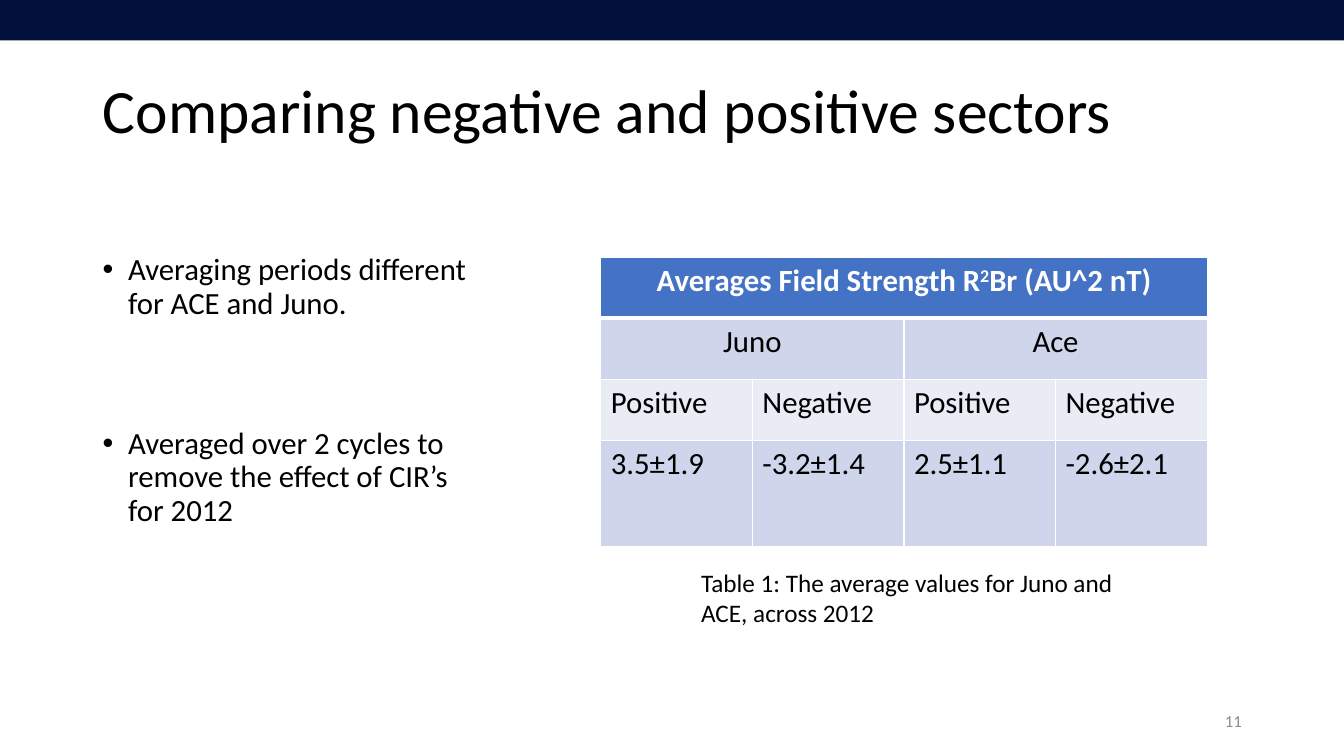
from pptx import Presentation, util as u
from pptx.dml.color import RGBColor
from pptx.enum import shapes, text
from pptx.oxml import parse_xml
from pptx.oxml.ns import nsdecls

TITLE = "Comparing negative and positive sectors"
POINTS = [
    "Averaging periods different for ACE and Juno.",
    "Averaged over 2 cycles to remove the effect of CIR’s for 2012",
]
HEADING = [("Averages Field Strength R", False), ("2", True), ("Br (AU^2 nT)", False)]
# Each row lists (runs, columns spanned); a run is (words, superscript).
SPACECRAFT = ["Juno", "Ace"]
SECTORS = ["Positive", "Negative"] * len(SPACECRAFT)
AVERAGES = ["3.5±1.9", "-3.2±1.4", "2.5±1.1", "-2.6±2.1"]
ROWS = [
    [(HEADING, 4)],
    [([(name, False)], 2) for name in SPACECRAFT],
    [([(sector, False)], 1) for sector in SECTORS],
    [([(average, False)], 1) for average in AVERAGES],
]
CAPTION = "Table 1: The average values for Juno and ACE, across 2012"
PAGE = "11"

THEME = {
    "font": "Calibri",
    "black": "000000", "white": "FFFFFF", "grey": "8C8C8C", "navy": "01103B",
    "rows": ["4472C4", "CFD5EA", "E9EBF5", "CFD5EA"],
    "title": 44, "body": 22, "caption": 18, "page": 12,
}
WIDTH, HEIGHT = u.Cm(33.87), u.Cm(19.05)
COLUMN_WIDTH = u.Cm(3.82)
ROW_HEIGHTS = [u.Cm(h) for h in (1.54, 1.54, 1.54, 2.67)]
POINT_GAP = u.Pt(76.5)


def box(*lengths):
    return [u.Cm(length) for length in lengths]


def assign(target, values):
    for name, value in values.items():
        setattr(target, name, value)


def write(paragraph, words, size, color="black", bold=False):
    run = paragraph.add_run()
    run.text = words
    assign(run.font, {"name": THEME["font"], "size": u.Pt(THEME[size]), "bold": bold})
    run.font.color.rgb = RGBColor.from_string(THEME[color])
    return run


def add_text(slide, place, **frame_format):
    frame = slide.shapes.add_textbox(*place).text_frame
    assign(frame, {"word_wrap": True, **frame_format})
    return frame


def add_bullet(paragraph):
    properties = paragraph._p.get_or_add_pPr()
    properties.set("marL", str(u.Cm(0.64)))
    properties.set("indent", str(-u.Cm(0.64)))
    for child in ('buFont {} typeface="Arial"', 'buChar {} char="•"'):
        properties.append(parse_xml("<a:" + child.format(nsdecls("a")) + "/>"))


def add_borders(cell, bottom, top):
    """Draw white borders; bottom and top are line widths in points."""
    widths = {"L": 1, "R": 1, "T": top, "B": bottom}
    for position, (side, width) in enumerate(widths.items()):
        cell._tc.get_or_add_tcPr().insert(position, parse_xml(
            f'<a:ln{side} {nsdecls("a")} w="{u.Pt(width)}"><a:solidFill>'
            f'<a:srgbClr val="{THEME["white"]}"/></a:solidFill></a:ln{side}>'))


def add_title(slide):
    title = slide.shapes.title
    assign(title, dict(zip(("left", "top", "width", "height"), box(2.34, 1.02, 29.21, 3.68))))
    assign(title.text_frame, {"vertical_anchor": text.MSO_ANCHOR.MIDDLE,
                              "auto_size": text.MSO_AUTO_SIZE.NONE})
    paragraph = title.text_frame.paragraphs[0]
    assign(paragraph, {"alignment": text.PP_ALIGN.LEFT, "line_spacing": 0.9})
    write(paragraph, TITLE, "title")


def add_points(slide):
    frame = add_text(slide, box(2.34, 5.08, 9.86, 12.95), margin_top=u.Cm(1.33))
    for index, point in enumerate(POINTS):
        paragraph = frame.add_paragraph() if index else frame.paragraphs[0]
        assign(paragraph, {"line_spacing": 0.9, "space_before": POINT_GAP if index else 0})
        add_bullet(paragraph)
        write(paragraph, point, "body")


def add_averages(slide):
    columns = sum(span for _, span in ROWS[0])
    place = box(15.14, 6.48) + [COLUMN_WIDTH * columns, sum(ROW_HEIGHTS)]
    table = slide.shapes.add_table(len(ROWS), columns, *place).table
    for column in table.columns:
        column.width = COLUMN_WIDTH
    for r, groups in enumerate(ROWS):
        table.rows[r].height = ROW_HEIGHTS[r]
        for c in range(columns):
            cell = table.cell(r, c)
            cell.fill.solid()
            cell.fill.fore_color.rgb = RGBColor.from_string(THEME["rows"][r])
            add_borders(cell, bottom=3 if r == 0 else 1, top=3 if r == 1 else 1)
        start = 0
        for runs, span in groups:
            cell = table.cell(r, start)
            paragraph = cell.text_frame.paragraphs[0]
            if span > 1:
                cell.merge(table.cell(r, start + span - 1))
                paragraph.alignment = text.PP_ALIGN.CENTER
            for words, superscript in runs:
                run = write(paragraph, words, "body", "black" if r else "white", r == 0)
                if superscript:
                    run._r.get_or_add_rPr().set("baseline", "30000")
            start += span


def add_bar(slide):
    bar = slide.shapes.add_shape(shapes.MSO_SHAPE.RECTANGLE, 0, 0, WIDTH, u.Cm(1.02))
    bar.shadow.inherit = False
    bar.fill.solid()
    bar.fill.fore_color.rgb = RGBColor.from_string(THEME["navy"])
    bar.line.fill.background()


def main():
    deck = Presentation()
    assign(deck, {"slide_width": WIDTH, "slide_height": HEIGHT})
    slide = deck.slides.add_slide(deck.slide_layouts.get_by_name("Title Only"))
    add_title(slide)
    add_points(slide)
    add_averages(slide)
    caption = add_text(slide, box(17.42, 14.17, 11.3, 1.8))
    write(caption.paragraphs[0], CAPTION, "caption")
    add_bar(slide)
    page = add_text(slide, box(23.93, 17.65, 7.62, 1.02),
                    vertical_anchor=text.MSO_ANCHOR.MIDDLE).paragraphs[0]
    page.alignment = text.PP_ALIGN.RIGHT
    write(page, PAGE, "page", "grey")
    deck.save("out.pptx")


if __name__ == "__main__":
    main()
